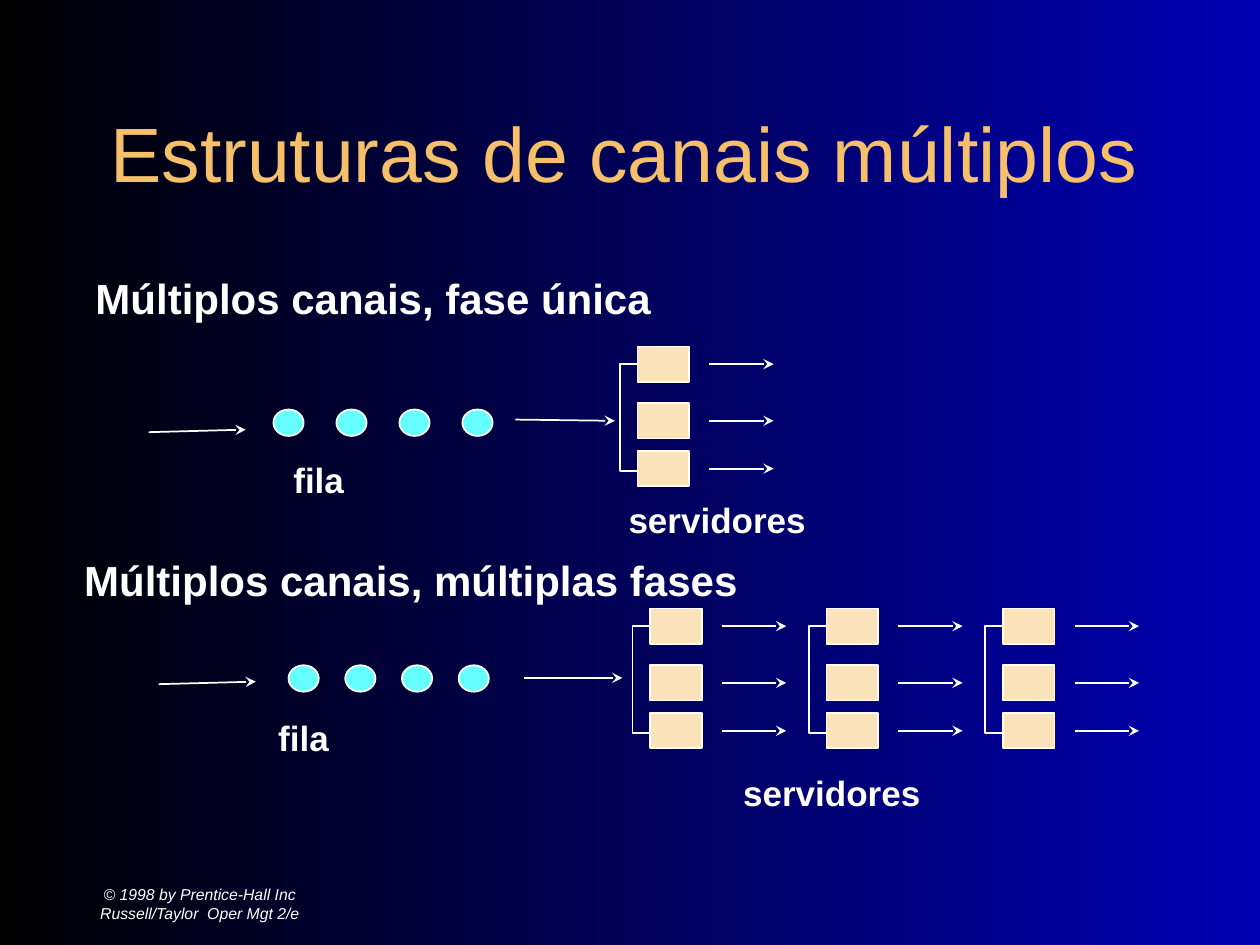
from dataclasses import dataclass

from lxml import etree
from pptx import Presentation
from pptx.dml.color import RGBColor
from pptx.enum.shapes import MSO_CONNECTOR, MSO_SHAPE
from pptx.enum.text import MSO_ANCHOR, MSO_AUTO_SIZE, PP_ALIGN
from pptx.oxml.ns import qn
from pptx.util import Inches, Pt

RECTANGLE, OVAL = MSO_SHAPE.RECTANGLE, MSO_SHAPE.OVAL
STRAIGHT = MSO_CONNECTOR.STRAIGHT
MIDDLE = MSO_ANCHOR.MIDDLE
CENTER = PP_ALIGN.CENTER
FIT_SHAPE, NO_FIT = MSO_AUTO_SIZE.SHAPE_TO_FIT_TEXT, MSO_AUTO_SIZE.NONE
TITLE_ONLY = 5


@dataclass(frozen=True)
class Theme:
    font: str = "Arial"
    background_start: RGBColor = RGBColor(0x00, 0x00, 0x00)
    background_end: RGBColor = RGBColor(0x00, 0x00, 0xB2)
    title: RGBColor = RGBColor(0xF6, 0xBF, 0x69)
    text: RGBColor = RGBColor(0xFF, 0xFF, 0xFF)
    customer: RGBColor = RGBColor(0x66, 0xFF, 0xFF)
    server: RGBColor = RGBColor(0xFD, 0xE3, 0xBA)
    title_size: Pt = Pt(44)
    heading_size: Pt = Pt(24)
    label_size: Pt = Pt(20)
    credit_size: Pt = Pt(9)
    line_width: Pt = Pt(1)


THEME = Theme()

SERVER_ROWS = (0, 0.45, 0.83)
SERVER_WIDTH, SERVER_HEIGHT = 0.41, 0.28
BRACKET_DEPTH, BRACKET_HEIGHT = 0.14, 0.85
BANK_PITCH = 1.4
CUSTOMERS = 4


def style_font(paragraph, size, color, bold=False, italic=False):
    font = paragraph.font
    font.name, font.size = THEME.font, size
    font.bold, font.italic = bold, italic
    font.color.rgb = color


def style_line(line):
    line.color.rgb = THEME.text
    line.width = THEME.line_width


def paint_background(slide):
    fill = slide.background.fill
    fill.gradient()
    fill.gradient_angle = 0
    colors = (THEME.background_start, THEME.background_end)
    for stop, color, position in zip(fill.gradient_stops, colors, (0, 1)):
        stop.color.rgb = color
        stop.position = position


def set_title(slide, text):
    title = slide.shapes.title
    title.left, title.top = Inches(0.33), Inches(0.58)
    title.width, title.height = Inches(9.25), Inches(1.25)
    frame = title.text_frame
    frame.text = text
    frame.auto_size = NO_FIT
    frame.vertical_anchor = MIDDLE
    frame.paragraphs[0].alignment = CENTER
    style_font(frame.paragraphs[0], THEME.title_size, THEME.title)


def add_label(slide, text, left, top, width, height, size, line_spacing=None):
    box = slide.shapes.add_textbox(
        Inches(left), Inches(top), Inches(width), Inches(height))
    frame = box.text_frame
    frame.word_wrap = True
    frame.auto_size = FIT_SHAPE
    frame.text = text
    paragraph = frame.paragraphs[0]
    paragraph.line_spacing = line_spacing
    style_font(paragraph, size, THEME.text, bold=True)


def add_credit(slide, lines):
    box = slide.shapes.add_textbox(0, Inches(6.92), Inches(3.17), Inches(0.5))
    frame = box.text_frame
    frame.word_wrap = False
    frame.vertical_anchor = MIDDLE
    frame.text = "\n".join(lines)
    for paragraph in frame.paragraphs:
        paragraph.alignment = CENTER
        style_font(paragraph, THEME.credit_size, THEME.text, italic=True)


def add_block(shapes, kind, left, top, width, height, color):
    block = shapes.add_shape(
        kind, Inches(left), Inches(top), Inches(width), Inches(height))
    block.shadow.inherit = False
    block.fill.solid()
    block.fill.fore_color.rgb = color
    style_line(block.line)


def add_arrow(shapes, x1, y1, x2, y2):
    arrow = shapes.add_connector(
        STRAIGHT, Inches(x1), Inches(y1), Inches(x2), Inches(y2))
    style_line(arrow.line)
    etree.SubElement(arrow.line._get_or_add_ln(), qn("a:tailEnd"), type="stealth")
    etree.SubElement(arrow._element.spPr, qn("a:effectLst"))


def add_queue(slide, left, top, pitch):
    for place in range(CUSTOMERS):
        add_block(slide.shapes, OVAL, left + place * pitch, top, 0.24, 0.21,
                  THEME.customer)


def add_bracket(shapes, right, top):
    left, bottom = right - BRACKET_DEPTH, top + BRACKET_HEIGHT
    corners = [(Inches(x), Inches(y)) for x, y in
               ((right, top), (left, top), (left, bottom), (right, bottom))]
    builder = shapes.build_freeform(*corners[0], scale=1.0)
    builder.add_line_segments(corners[1:], close=False)
    bracket = builder.convert_to_shape()
    bracket.shadow.inherit = False
    bracket.fill.background()
    style_line(bracket.line)


def add_server_bank(slide, left, top):
    """Group parallel servers, their exit arrows and the bracket feeding them."""
    shapes = slide.shapes.add_group_shape().shapes
    for row in SERVER_ROWS:
        server_top = top + row
        middle = server_top + SERVER_HEIGHT / 2
        add_block(shapes, RECTANGLE, left, server_top,
                  SERVER_WIDTH, SERVER_HEIGHT, THEME.server)
        add_arrow(shapes, left + 0.57, middle, left + 1.08, middle)
    add_bracket(shapes, left, top + SERVER_HEIGHT / 2)


def add_single_phase(slide):
    add_label(slide, "Múltiplos canais, fase única",
              0.66, 2.11, 8, 0.5, THEME.heading_size)
    add_arrow(slide.shapes, 1.18, 3.43, 1.95, 3.41)
    add_queue(slide, 2.17, 3.25, 0.5)
    add_arrow(slide.shapes, 4.09, 3.33, 4.88, 3.34)
    add_server_bank(slide, 5.06, 2.75)
    add_label(slide, "fila", 2.23, 3.59, 0.99, 0.94, THEME.label_size)
    add_label(slide, "servidores", 4.89, 3.91, 3.07, 0.43, THEME.label_size)


def add_multiple_phases(slide):
    add_label(slide, "Múltiplos canais, múltiplas fases",
              0.57, 4.46, 8.89, 0.78, THEME.heading_size, line_spacing=0.7)
    add_arrow(slide.shapes, 1.26, 5.43, 2.03, 5.41)
    add_queue(slide, 2.29, 5.28, 0.45)
    add_arrow(slide.shapes, 4.16, 5.38, 4.94, 5.38)
    for phase in range(3):
        add_server_bank(slide, 5.16 + phase * BANK_PITCH, 4.83)
    add_label(slide, "fila", 2.11, 5.64, 2.93, 0.43, THEME.label_size)
    add_label(slide, "servidores", 5.8, 6.07, 2.53, 0.43, THEME.label_size)


def main():
    deck = Presentation()
    deck.slide_width, deck.slide_height = Inches(10), Inches(7.5)
    slide = deck.slides.add_slide(deck.slide_layouts[TITLE_ONLY])
    paint_background(slide)
    set_title(slide, "Estruturas de canais múltiplos")
    add_single_phase(slide)
    add_multiple_phases(slide)
    add_credit(slide, ("© 1998 by Prentice-Hall Inc",
                       "Russell/Taylor  Oper Mgt 2/e"))
    deck.save("out.pptx")


if __name__ == "__main__":
    main()
